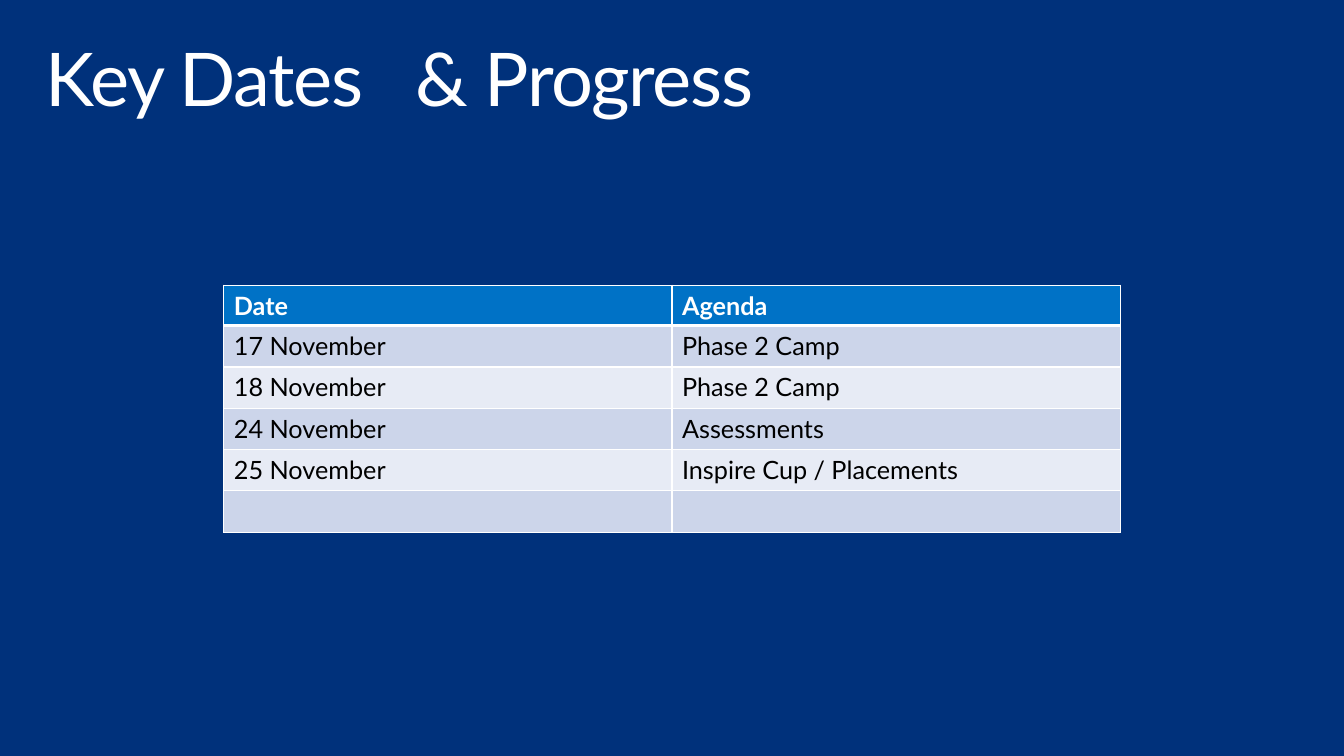
from lxml.etree import SubElement
from pptx import Presentation
from pptx.dml.color import RGBColor
from pptx.enum.text import MSO_ANCHOR, MSO_AUTO_SIZE, PP_ALIGN
from pptx.oxml.ns import qn
from pptx.util import Inches, Pt

COLORS = {
    "back": "00317B",
    "head": "0072C6",
    "odd": "CCD5EA",
    "even": "E7EBF5",
    "white": "FFFFFF",
    "black": "000000",
}
FONT = "Lato"
DATES = [
    ("Date", "Agenda"),
    ("17 November", "Phase 2 Camp"),
    ("18 November", "Phase 2 Camp"),
    ("24 November", "Assessments"),
    ("25 November", "Inspire Cup / Placements"),
    ("", ""),
]


def color(name):
    return RGBColor.from_string(COLORS[name])


def paint(item, name):
    item.fill.solid()
    item.fill.fore_color.rgb = color(name)


def style(par, size, name, bold=False):
    for run in par.runs:
        run.font.name = FONT
        run.font.size = Pt(size)
        run.font.bold = bold
        run.font.color.rgb = color(name)


def add_title(slide, text):
    title = slide.shapes.title
    title.left, title.top = Inches(0.29), Inches(0.32)
    title.width, title.height = Inches(12.75), Inches(0.98)
    frame = title.text_frame
    frame.text = text
    frame.word_wrap = True
    frame.auto_size = MSO_AUTO_SIZE.NONE
    frame.vertical_anchor = MSO_ANCHOR.TOP
    frame.margin_left = frame.margin_right = Inches(0.16)
    frame.margin_top = frame.margin_bottom = Inches(0.1)
    par = frame.paragraphs[0]
    par.alignment = PP_ALIGN.LEFT
    par.line_spacing = 0.9
    style(par, 52.9, "white")
    for run in par.runs:
        run.font._element.set("spc", "-100")


def add_edges(cell, row):
    """Draw the cell's borders, with a thick rule under the header."""
    widths = {"lnL": 1, "lnR": 1, "lnT": 3 if row == 1 else 1, "lnB": 3 if row == 0 else 1}
    props = cell._tc.get_or_add_tcPr()
    for side, width in widths.items():
        line = SubElement(props, qn(f"a:{side}"), w=str(Pt(width)))
        fill = SubElement(line, qn("a:solidFill"))
        SubElement(fill, qn("a:srgbClr"), val=COLORS["white"])


def add_dates(slide, rows):
    frame = slide.shapes.add_table(
        len(rows), len(rows[0]), Inches(2.22), Inches(2.83), Inches(8.89), Inches(2.43)
    )
    table = frame.table
    for r, texts in enumerate(rows):
        head = r == 0
        table.rows[r].height = Inches(0.4 if head else 0.41)
        for c, text in enumerate(texts):
            cell = table.cell(r, c)
            cell.text_frame.text = text
            style(cell.text_frame.paragraphs[0], 18, "white" if head else "black", head)
            add_edges(cell, r)
            paint(cell, "head" if head else "odd" if r % 2 else "even")


def main():
    deck = Presentation()
    deck.slide_width, deck.slide_height = Inches(13.33), Inches(7.5)
    slide = deck.slides.add_slide(deck.slide_layouts[5])
    paint(slide.background, "back")
    add_title(slide, "Key Dates\t & Progress")
    add_dates(slide, DATES)
    deck.save("out.pptx")


if __name__ == "__main__":
    main()
